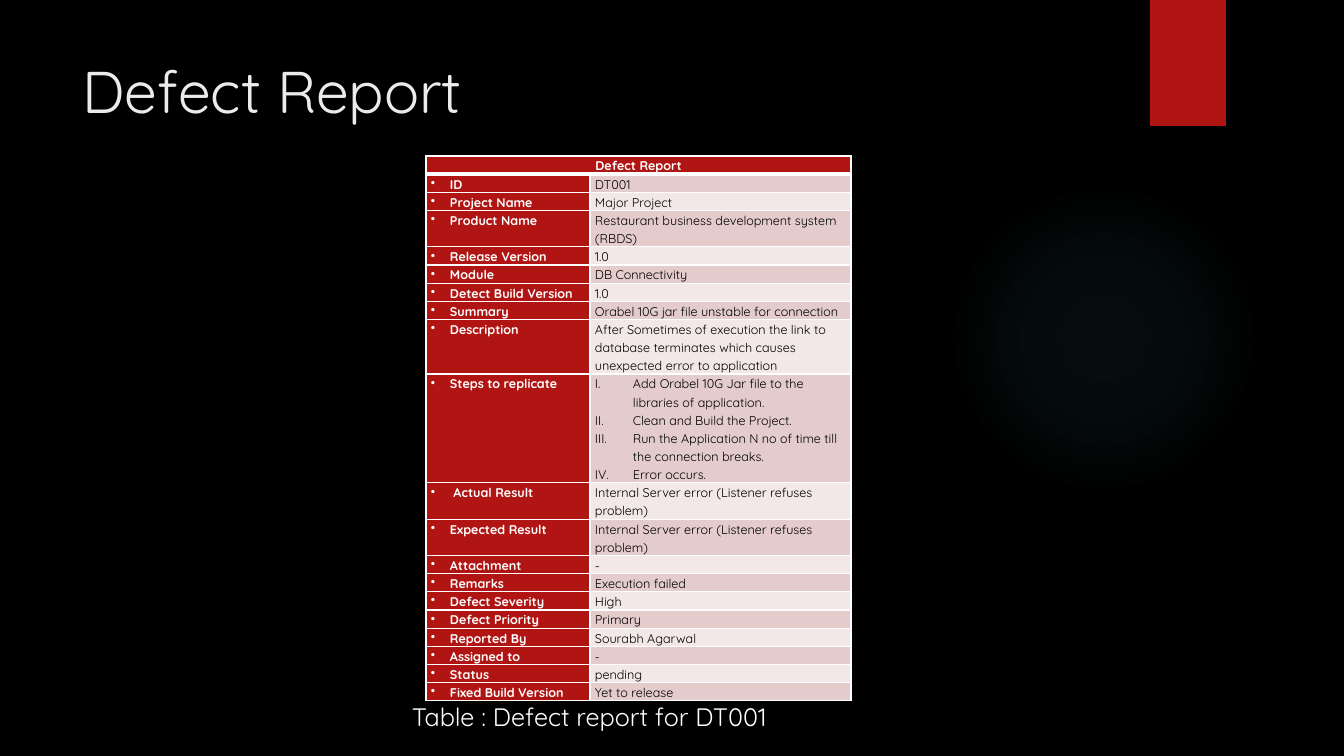
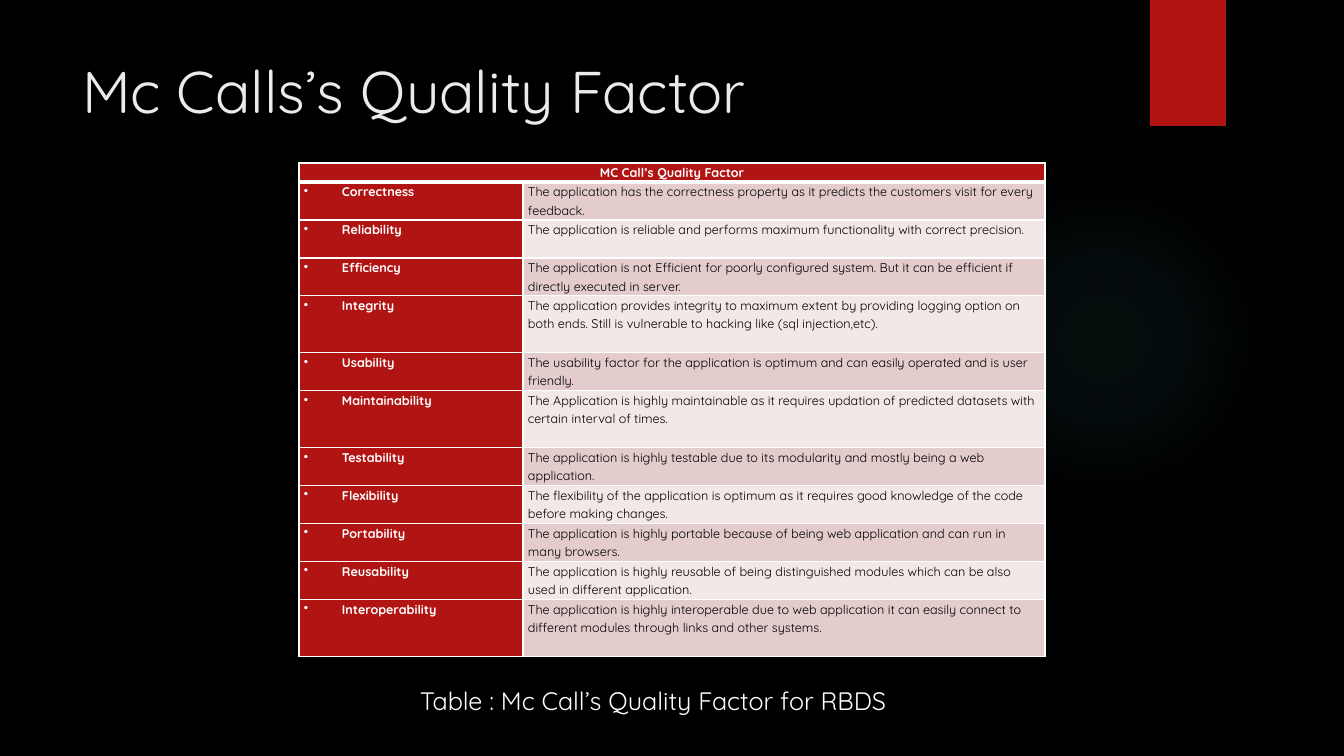
from pptx import Presentation
from pptx import oxml
from pptx.dml import color
from pptx.enum import shapes, text
from pptx.oxml import ns
from pptx.util import Pt

SCALE = 914400 / 100.8
HUES = {
    "back": "000000", "red": "B01513", "glow": "50B9C1", "title": "EBEBEB",
    "white": "FFFFFF", "black": "000000", "odd": "E4CCCC", "even": "F2E8E7",
}
FACE = "Quicksand"
FONTS = {
    "title": {"size": Pt(42), "bold": False},
    "note": {"size": Pt(18), "bold": False},
    "head": {"size": Pt(9), "bold": True},
    "body": {"size": Pt(9), "bold": False},
}
BOX = {"word_wrap": True, "auto_size": text.MSO_AUTO_SIZE.NONE,
       "vertical_anchor": text.MSO_ANCHOR.TOP}
DOT = '<a:buChar {} char="•"/>'
ROMAN = '<a:buAutoNum {} type="romanUcPeriod"/>'

DEFECT = [
    ("ID", "DT001", 1),
    ("Project Name", "Major Project", 1),
    ("Product Name", "Restaurant business development system (RBDS)", 2),
    ("Release Version", "1.0", 1),
    ("Module", "DB Connectivity", 1),
    ("Detect Build Version", "1.0", 1),
    ("Summary", "Orabel 10G jar file unstable for connection", 1),
    ("Description", "After Sometimes of execution the link to database terminates "
     "which causes unexpected error to application", 3),
    ("Steps to replicate", [
        "Add Orabel 10G Jar file to the libraries of application.",
        "Clean and Build the Project.",
        "Run the Application N no of time till the connection breaks.",
        "Error occurs."], 6),
    (" Actual Result", "Internal Server error (Listener refuses problem)", 2),
    ("Expected Result", "Internal Server error (Listener refuses problem)", 2),
    ("Attachment", "-", 1),
    ("Remarks", "Execution failed", 1),
    ("Defect Severity", "High", 1),
    ("Defect Priority", "Primary", 1),
    ("Reported By", "Sourabh Agarwal", 1),
    ("Assigned to", "-", 1),
    ("Status", "pending", 1),
    ("Fixed Build Version", "Yet to release", 1),
]
QUALITY = [
    ("Correctness", "The application has the correctness property as it predicts "
     "the customers visit for every feedback.", 2),
    ("Reliability", "The application is reliable and performs maximum functionality "
     "with correct precision.", 2),
    ("Efficiency", "The application is not Efficient for poorly configured system. "
     "But it can be efficient if directly executed in server.", 2),
    ("Integrity", "The application provides integrity to maximum extent by providing "
     "logging option on both ends. Still is vulnerable to hacking like "
     "(sql injection,etc).", 3),
    ("Usability", "The usability factor for the application is optimum and can easily "
     "operated and is user friendly.", 2),
    ("Maintainability", "The Application is highly maintainable as it requires updation "
     "of predicted datasets with certain interval of times.", 3),
    ("Testability", "The application is highly testable due to its modularity and "
     "mostly being a web application.", 2),
    ("Flexibility", "The flexibility of the application is optimum as it requires good "
     "knowledge of the code before making changes.", 2),
    ("Portability", "The application is highly portable because of being web application "
     "and can run in many browsers.", 2),
    ("Reusability", "The application is highly reusable of being distinguished modules "
     "which can be also used in different application.", 2),
    ("Interoperability", "The application is highly interoperable due to web application "
     "it can easily connect to different modules through links and other systems.", 3),
]


def px(num):
    return round(num * SCALE)


def rgb(name):
    return color.RGBColor.from_string(HUES[name])


def node(xml):
    return oxml.parse_xml(xml.format(ns.nsdecls("a")))


def apply(item, vals):
    for key, val in vals.items():
        setattr(item, key, val)


class Deck:
    def __init__(self):
        self.prs = Presentation()
        apply(self.prs, {"slide_width": px(1344), "slide_height": px(756)})
        self.page = None

    def slide(self, title):
        self.page = self.prs.slides.add_slide(self.prs.slide_layouts[5])
        fill = self.page.background.fill
        fill.solid()
        fill.fore_color.rgb = rgb("back")
        self.glow()
        self.shape("RECTANGLE", 1150, 0, 76, 126)
        head = self.page.shapes.title
        spot = zip(("left", "top", "width", "height"), (72, 50, 1037, 154))
        apply(head, {key: px(num) for key, num in spot})
        apply(head.text_frame, BOX)
        self.label(head.text_frame.paragraphs[0], title, "title", "title")

    def shape(self, kind, *spot):
        item = self.page.shapes.add_shape(
            getattr(shapes.MSO_SHAPE, kind), *map(px, spot))
        item.shadow.inherit = False
        item.line.fill.background()
        item.fill.solid()
        item.fill.fore_color.rgb = rgb("red")
        return item

    def glow(self):
        item = self.shape("OVAL", 949, 184, 310, 310)
        stops = "".join(
            f'<a:gs pos="{pos}000"><a:srgbClr val="{HUES["glow"]}">'
            f'<a:alpha val="{alpha}000"/></a:srgbClr></a:gs>'
            for pos, alpha in ((0, 7), (36, 6), (69, 0)))
        grad = node("<a:gradFill {}><a:gsLst>" + stops + '</a:gsLst><a:path path="circle">'
                    '<a:fillToRect l="50000" t="50000" r="50000" b="50000"/>'
                    "</a:path></a:gradFill>")
        props = item.element.spPr
        props.replace(props.find(ns.qn("a:solidFill")), grad)

    def label(self, para, words, font, hue, align="LEFT"):
        para.alignment = getattr(text.PP_ALIGN, align)
        run = para.add_run()
        run.text = words
        apply(run.font, {"name": FACE, **FONTS[font]})
        run.font.color.rgb = rgb(hue)

    def note(self, words, *spot):
        frame = self.page.shapes.add_textbox(*map(px, spot)).text_frame
        apply(frame, BOX)
        self.label(frame.paragraphs[0], words, "note", "white")

    def cell(self, cell, lines, font, hue, fill, align="LEFT", mark=None, step=0,
             top=1, base=1):
        apply(cell, {"margin_left": px(5), "margin_right": px(5),
                     "margin_top": 0, "margin_bottom": 0})
        props = cell._tc.get_or_add_tcPr()
        for side, wide in zip("LRTB", (1, 1, top, base)):
            props.append(node(
                f'<a:ln{side} {{}} w="{Pt(wide)}"><a:solidFill>'
                f'<a:srgbClr val="{HUES["white"]}"/></a:solidFill></a:ln{side}>'))
        cell.fill.solid()
        cell.fill.fore_color.rgb = rgb(fill)
        frame = cell.text_frame
        for num, words in enumerate(lines):
            para = frame.add_paragraph() if num else frame.paragraphs[0]
            self.label(para, words, font, hue, align)
            para.line_spacing = 1.15
            if mark:
                form = para._p.get_or_add_pPr()
                form.set("marL", str(px(step)))
                form.set("indent", str(-px(step)))
                form.append(node(mark))

    def table(self, head, rows, left, top, cols, unit, step):
        highs = [unit] + [unit * lines for _, _, lines in rows]
        grid = self.page.shapes.add_table(
            len(highs), 2, *map(px, (left, top, sum(cols), sum(highs)))).table
        grid.horz_banding = False
        for col, wide in zip(grid.columns, cols):
            col.width = px(wide)
        for row, high in zip(grid.rows, highs):
            row.height = px(high)
        grid.cell(0, 0).merge(grid.cell(0, 1))
        for col, lines in enumerate(([head], [])):
            self.cell(grid.cell(0, col), lines, "head", "white", "red", "CENTER", base=3)
        for num, (name, value, _) in enumerate(rows, 1):
            edge = 3 if num == 1 else 1
            self.cell(grid.cell(num, 0), [name], "head", "white", "red",
                      mark=DOT, step=step, top=edge)
            many = isinstance(value, list)
            self.cell(grid.cell(num, 1), value if many else [value], "body", "black",
                      "odd" if num % 2 else "even",
                      mark=ROMAN if many else None, step=38, top=edge)


def main():
    deck = Deck()
    deck.slide("Defect Report")
    deck.table("Defect Report", DEFECT, 426, 156, (164, 261), 18, 19)
    deck.note("Table : Defect report for DT001", 402, 696, 524, 40)
    deck.slide("Mc Calls’s Quality Factor")
    deck.table("MC Call’s Quality Factor", QUALITY, 299, 163, (224, 522), 19, 38)
    deck.note("Table : Mc Call’s Quality Factor for RBDS", 410, 680, 555, 40)
    deck.prs.save("out.pptx")


if __name__ == "__main__":
    main()
